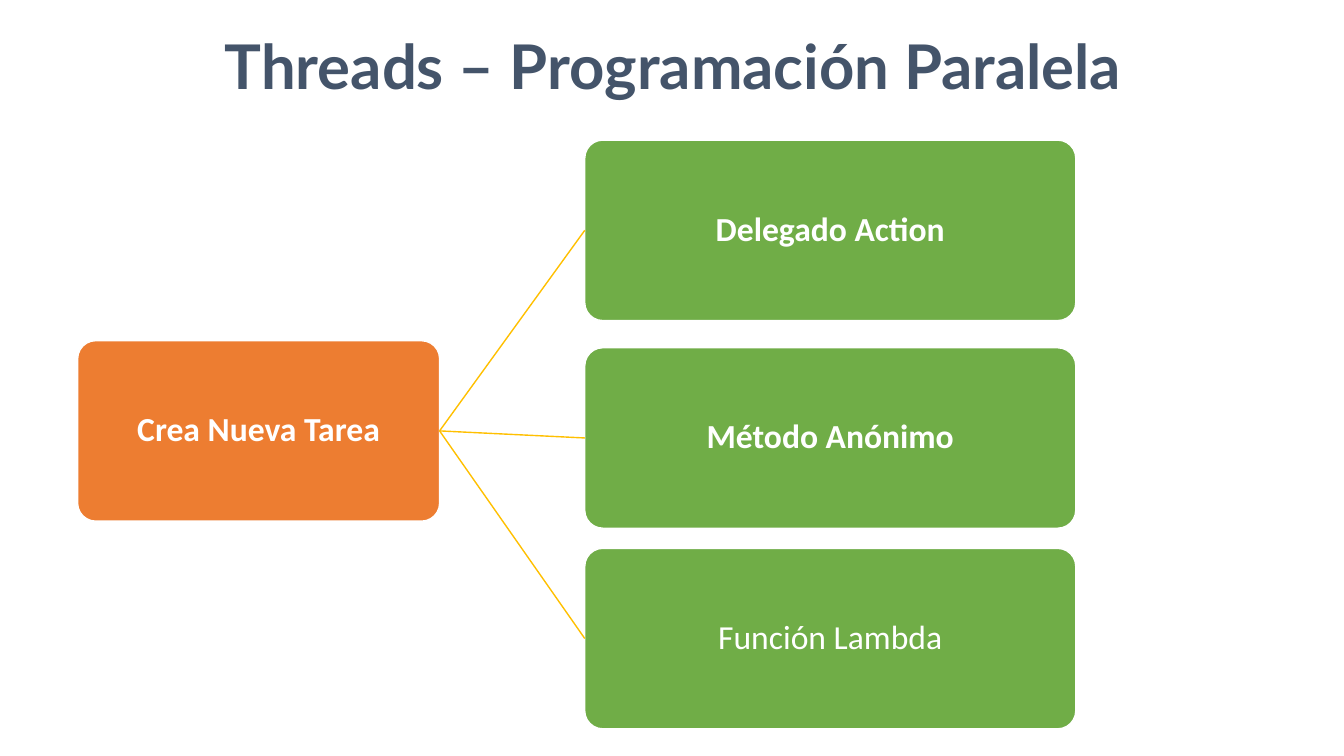
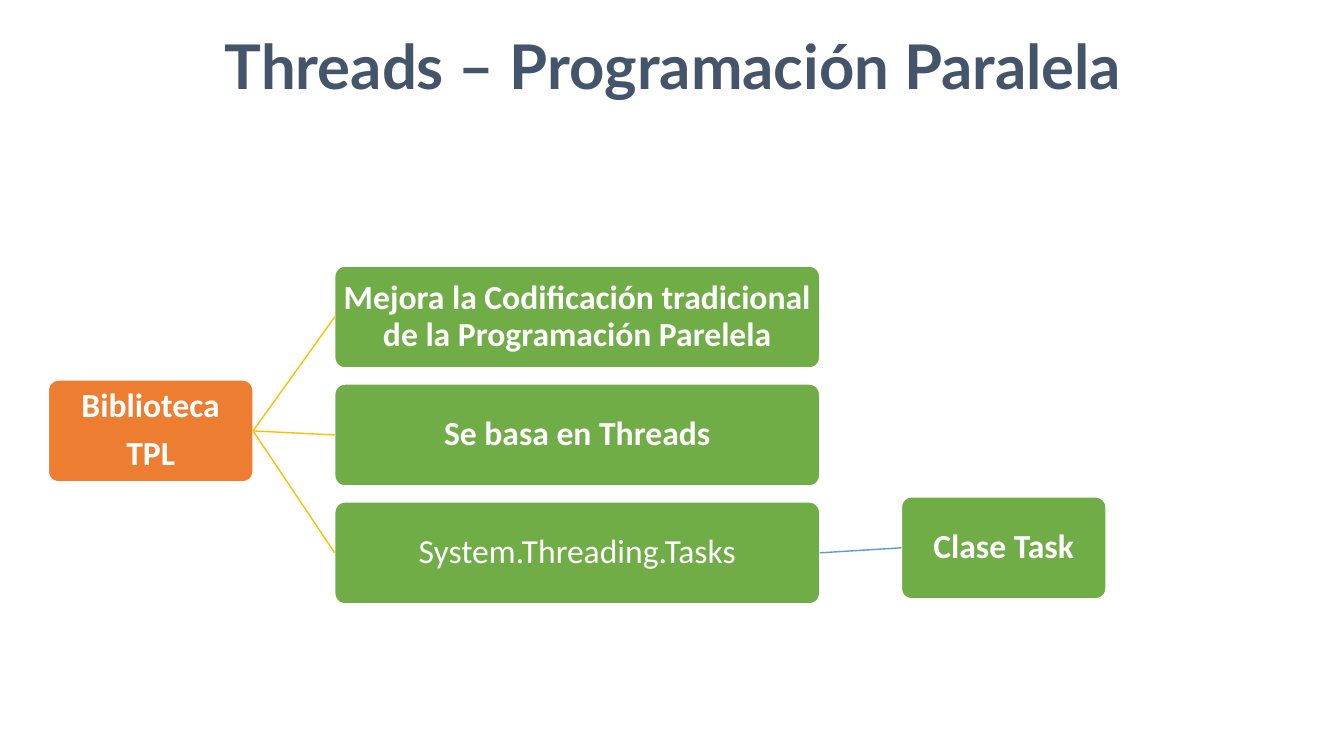
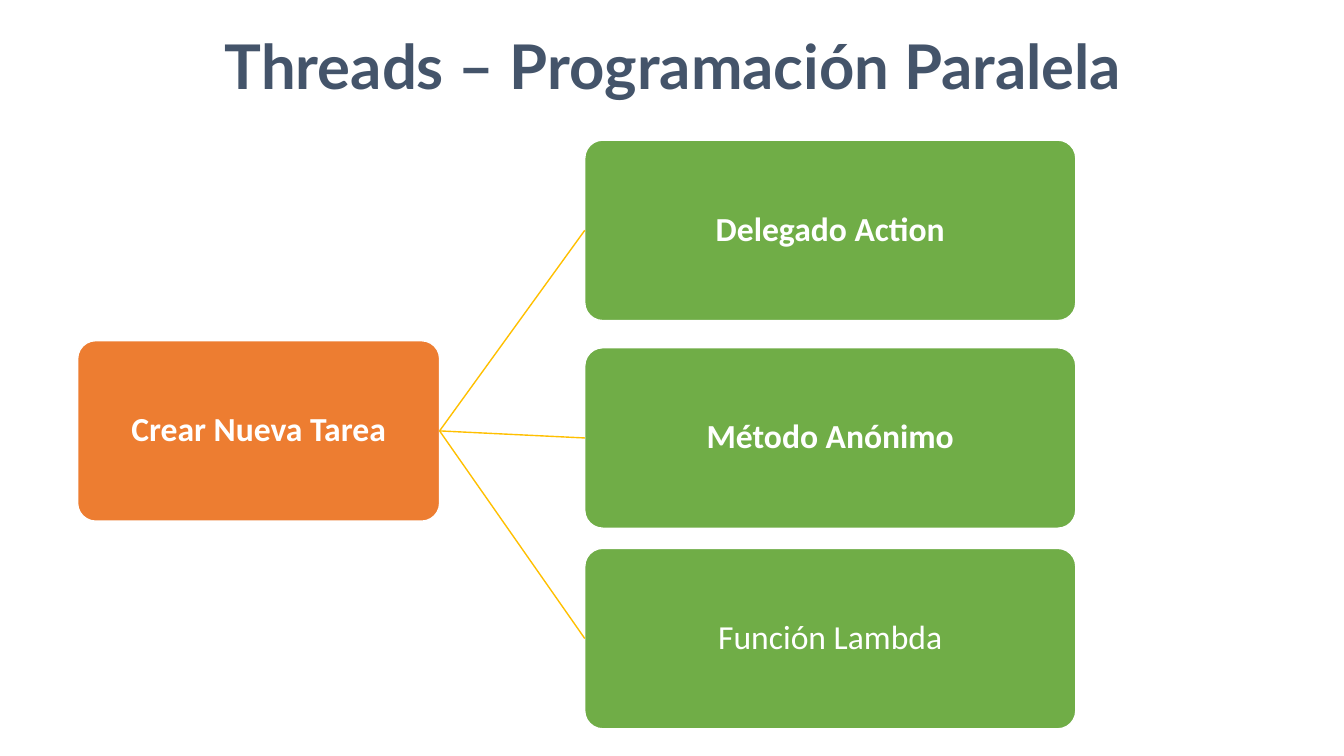
from pptx import Presentation
from pptx import util as u
from pptx.dml.color import RGBColor
from pptx.enum import shapes, text
from pptx.oxml.ns import qn
from lxml import etree

COLORS = {
    "title": "44546A",
    "root": "ED7D31",
    "node": "70AD47",
    "branch": "FFC000",
    "detail": "5B9BD5",
    "white": "FFFFFF",
}
TITLE = "Threads – Programación Paralela"
LARGE = {"root": (0.77, 3.38, 3.59, 1.79), "left": 5.8, "width": 4.87,
         "tops": (1.39, 3.45, 5.44)}
SMALL = {"root": (0.48, 3.77, 2.03, 1.01), "left": 3.32, "width": 4.81,
         "tops": (2.64, 3.81, 4.98), "detail": (8.94, 4.93, 2.03, 1.01)}
WAYS = [("Delegado Action", True), ("Método Anónimo", True), ("Función Lambda", False)]
LIBRARY = [
    ("Mejora la Codificación tradicional de la Programación Parelela", True),
    ("Se basa en Threads", True),
    ("System.Threading.Tasks", False),
]
SLIDES = [
    {"layout": LARGE, "root": "Crea Nueva Tarea", "branches": WAYS},
    {"layout": SMALL, "root": "Biblioteca\nTPL", "branches": LIBRARY, "detail": "Clase Task"},
    {"layout": LARGE, "root": "Crear Nueva Tarea", "branches": WAYS},
]
LEFT_SITE, RIGHT_SITE = 1, 3


def color(name):
    return RGBColor.from_string(COLORS[name])


def inches(lengths):
    return [u.Inches(length) for length in lengths]


def write(frame, words, font, size, ink, bold, side_margin):
    frame.word_wrap = True
    frame.margin_left = frame.margin_right = u.Inches(side_margin)
    frame.margin_top = frame.margin_bottom = u.Inches(0.02)
    frame.text = words
    for para in frame.paragraphs:
        para.alignment = text.PP_ALIGN.CENTER
        para.font.name, para.font.size, para.font.bold = font, u.Pt(size), bold
        para.font.color.rgb = color(ink)


def add_title(page):
    box = page.shapes.add_textbox(*inches((0.13, 0.26, 13.1, 0.79)))
    write(box.text_frame, TITLE, "Lato", 44, "title", True, 0.05)


def add_node(page, place, words, fill="node", bold=True):
    box = page.shapes.add_shape(shapes.MSO_SHAPE.ROUNDED_RECTANGLE, *inches(place))
    box.adjustments[0] = 0.1
    box.shadow.inherit = False
    box.fill.solid()
    box.fill.fore_color.rgb = color(fill)
    box.line.color.rgb = color("white")
    box.line.width = u.Pt(1)
    write(box.text_frame, words, "Calibri", 24, "white", bold, 0.02)
    box.text_frame.vertical_anchor = text.MSO_ANCHOR.MIDDLE
    for para in box.text_frame.paragraphs:
        para.line_spacing = 0.9
        para.space_after = u.Pt(8.4)
    return box


def link(page, parent, child, ink):
    line = page.shapes.add_connector(shapes.MSO_CONNECTOR.STRAIGHT, 0, 0, 0, 0)
    line.begin_connect(parent, RIGHT_SITE)
    line.end_connect(child, LEFT_SITE)
    line.line.color.rgb = color(ink)
    line.line.width = u.Pt(1)
    etree.SubElement(line._element.spPr, qn("a:effectLst"))


def add_tree(page, content):
    layout = content["layout"]
    height = layout["root"][3]
    root = add_node(page, layout["root"], content["root"], "root")
    for top, (words, bold) in zip(layout["tops"], content["branches"]):
        place = (layout["left"], top, layout["width"], height)
        branch = add_node(page, place, words, bold=bold)
        link(page, root, branch, "branch")
    if "detail" in content:
        detail = add_node(page, layout["detail"], content["detail"])
        link(page, branch, detail, "detail")


def main():
    deck = Presentation()
    deck.slide_width, deck.slide_height = inches((13.33, 7.5))
    for content in SLIDES:
        page = deck.slides.add_slide(deck.slide_layouts[6])
        add_title(page)
        add_tree(page, content)
    deck.save("out.pptx")


if __name__ == "__main__":
    main()
